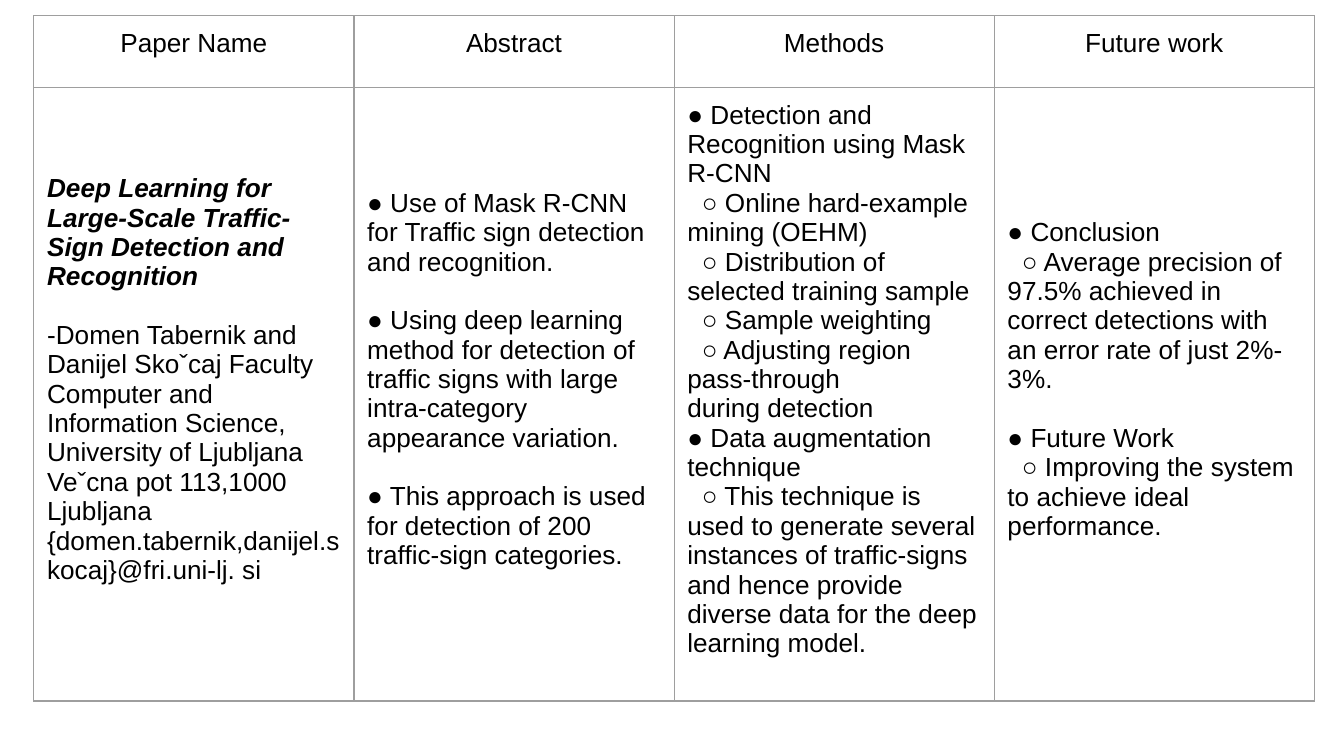
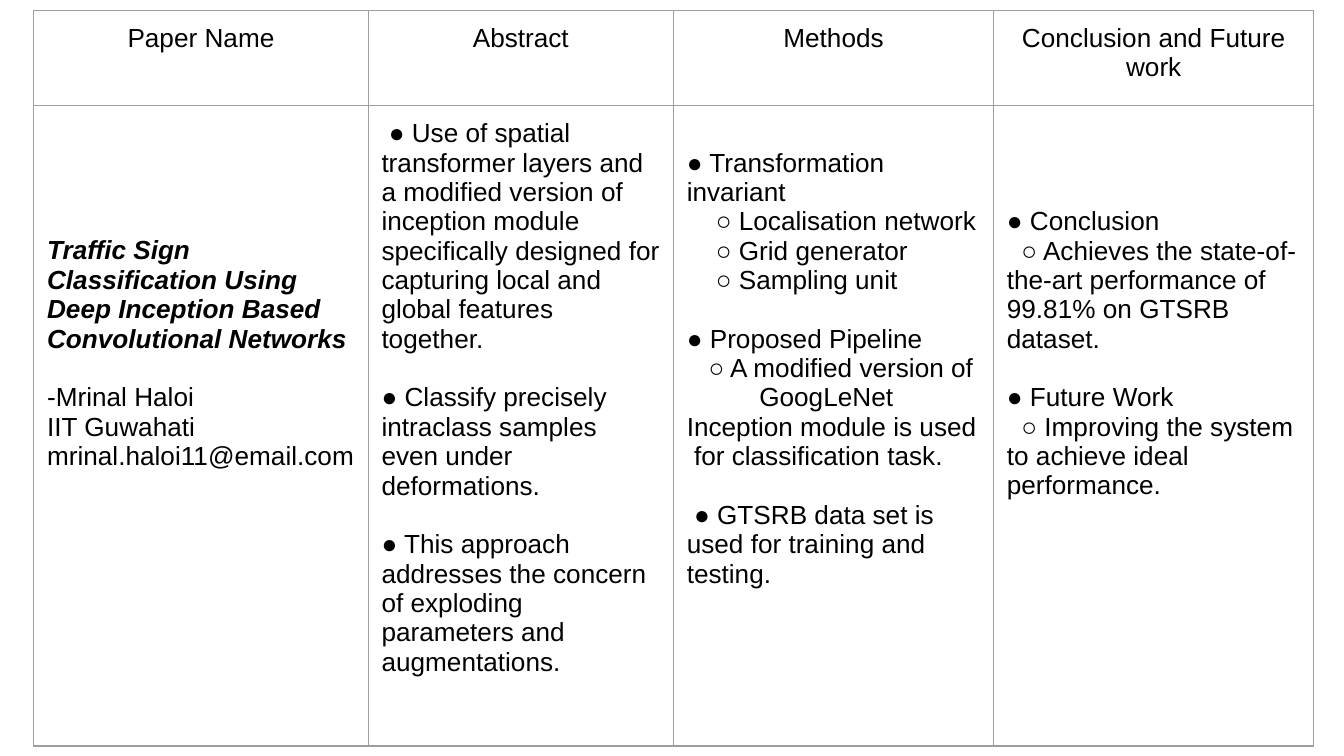
"""Build two literature review slides, each a table summing up one paper."""
from dataclasses import dataclass

from lxml.etree import SubElement
from pptx import Presentation
from pptx.dml.color import RGBColor as Rgb
from pptx.enum.text import MSO_ANCHOR as Anchor, PP_ALIGN as Align
from pptx.oxml.ns import qn
from pptx.util import Cm, Pt


@dataclass(frozen=True)
class Theme:
    ink: str = "000000"
    rule: str = "9E9E9E"
    font: str = "Arial"
    size: float = 14
    line: float = 15.7
    edge: float = 0.75
    space: float = 0.137
    pad: float = 0.25


look = Theme()
step = Pt(look.line)


def write(cell, text, dent=0, gap=0, bold=False, align=Align.LEFT):
    """Add a paragraph; dent counts spaces on its first line, gap counts lines above."""
    frame = cell.text_frame
    para = frame.add_paragraph() if frame.text else frame.paragraphs[0]
    if dent:
        props = para._p.get_or_add_pPr()
        props.set("marL", "0")
        props.set("indent", str(Cm(dent * look.space)))
    para.alignment = align
    if gap:
        para.space_before = Pt(gap * look.line)
    run = para.add_run()
    run.text = text
    font = run.font
    font.name, font.size = look.font, Pt(look.size)
    font.bold = font.italic = bold
    font.color.rgb = Rgb.from_string(look.ink)


def border(cell):
    """Draw the four thin rules of a cell."""
    props = cell._tc.get_or_add_tcPr()
    for side in ("lnL", "lnR", "lnT", "lnB"):
        rule = SubElement(props, qn(f"a:{side}"), w=str(Pt(look.edge)))
        fill = SubElement(rule, qn("a:solidFill"))
        SubElement(fill, qn("a:srgbClr"), val=look.rule)


future = [
    ("● Future Work", dict(gap=1)),
    ("○ Improving the system to achieve ideal performance.", dict(dent=2)),
]

pages = [
    dict(
        top=0.3, cols=[6.05] * 4, rows=[1.35, 11.6],
        heads=["Paper Name", "Abstract", "Methods", "Future work"],
        mids=[True, True, False, True], lead=[0] * 4, tail=1,
        body=[
            [
                ("Deep Learning for Large-Scale Traffic-Sign Detection and Recognition", dict(bold=True)),
                ("-Domen Tabernik and Danijel Skoˇcaj Faculty Computer and Information Science, "
                 "University of Ljubljana Veˇcna pot 113,1000 Ljubljana "
                 "{domen.tabernik,danijel.skocaj}@fri.uni-lj. si", dict(gap=1)),
            ],
            [
                ("● Use of Mask R-CNN for Traffic sign detection and recognition.", {}),
                ("● Using deep learning method for detection of traffic signs with large "
                 "intra-category appearance variation.", dict(gap=1)),
                ("● This approach is used for detection of 200 traffic-sign categories.", dict(gap=1)),
            ],
            [
                ("● Detection and Recognition using Mask R-CNN", {}),
                ("○ Online hard-example mining (OEHM)", dict(dent=2)),
                ("○ Distribution of selected training sample", dict(dent=2)),
                ("○ Sample weighting", dict(dent=2)),
                ("○ Adjusting region pass-through", dict(dent=2)),
                ("during detection", {}),
                ("● Data augmentation technique", {}),
                ("○ This technique is used to generate several instances of traffic-signs "
                 "and hence provide diverse data for the deep learning model.", dict(dent=2)),
            ],
            [
                ("● Conclusion", {}),
                ("○ Average precision of 97.5% achieved in correct detections with an "
                 "error rate of just 2%-3%.", dict(dent=2)),
                *future,
            ],
        ],
    ),
    dict(
        top=0.2, cols=[6.32, 5.77, 6.05, 6.05], rows=[1.8, 12.1],
        heads=["Paper Name", "Abstract", "Methods", "Conclusion and Future work"],
        mids=[False] * 4, lead=[4, 0, 1, 3], tail=0,
        body=[
            [
                ("Traffic Sign Classification Using Deep Inception Based Convolutional Networks",
                 dict(bold=True)),
                ("-Mrinal Haloi", dict(gap=1)),
                ("IIT Guwahati", {}),
                ("mrinal.haloi11@email.com", {}),
            ],
            [
                ("● Use of spatial transformer layers and a modified version of inception module "
                 "specifically designed for capturing local and global features together.", dict(dent=1)),
                ("● Classify precisely intraclass samples even under deformations.", dict(gap=1)),
                ("● This approach", dict(gap=1)),
                ("addresses the concern of exploding parameters and augmentations.", {}),
            ],
            [
                ("● Transformation invariant", {}),
                ("○ Localisation network", dict(dent=4)),
                ("○ Grid generator", dict(dent=4)),
                ("○ Sampling unit", dict(dent=4)),
                ("● Proposed Pipeline", dict(gap=1)),
                ("○ A modified version of", dict(dent=3)),
                ("GoogLeNet", dict(dent=10)),
                ("Inception module is used", {}),
                ("for classification task.", dict(dent=1)),
                ("● GTSRB data set is used for training and testing.", dict(dent=1, gap=1)),
            ],
            [
                ("● Conclusion", {}),
                ("○ Achieves the state-of-the-art performance of 99.81% on GTSRB dataset.", dict(dent=2)),
                *future,
            ],
        ],
    ),
]

deck = Presentation()
deck.slide_width, deck.slide_height = Cm(25.4), Cm(14.29)

for page in pages:
    slide = deck.slides.add_slide(deck.slide_layouts[6])
    cols, rows = page["cols"], page["rows"]
    table = slide.shapes.add_table(
        len(rows), len(cols), Cm(0.64), Cm(page["top"]), Cm(sum(cols)), Cm(sum(rows))
    ).table
    table.first_row = table.horz_banding = False
    for col, width in zip(table.columns, cols):
        col.width = Cm(width)
    for row, height in zip(table.rows, rows):
        row.height = Cm(height)
    for cell in table.iter_cells():
        cell.margin_left = cell.margin_right = Cm(look.pad)
        cell.margin_top = cell.margin_bottom = Cm(look.pad)
        border(cell)
        cell.fill.background()
    for num, head in enumerate(page["heads"]):
        write(table.cell(0, num), head, align=Align.CENTER)
        cell = table.cell(1, num)
        cell.vertical_anchor = Anchor.MIDDLE if page["mids"][num] else Anchor.TOP
        cell.margin_top = Cm(look.pad) + page["lead"][num] * step
        cell.margin_bottom = Cm(look.pad) + page["tail"] * step
        for text, form in page["body"][num]:
            write(cell, text, **form)

deck.save("out.pptx")
